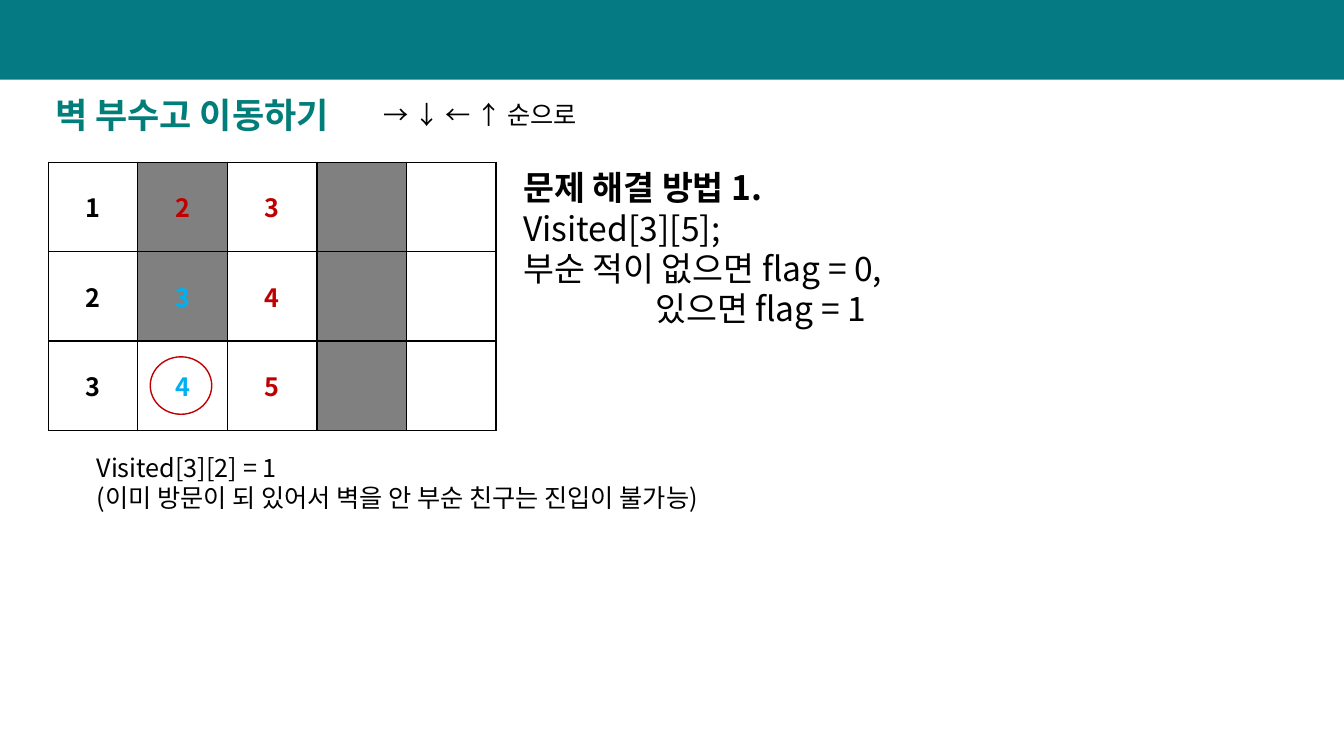
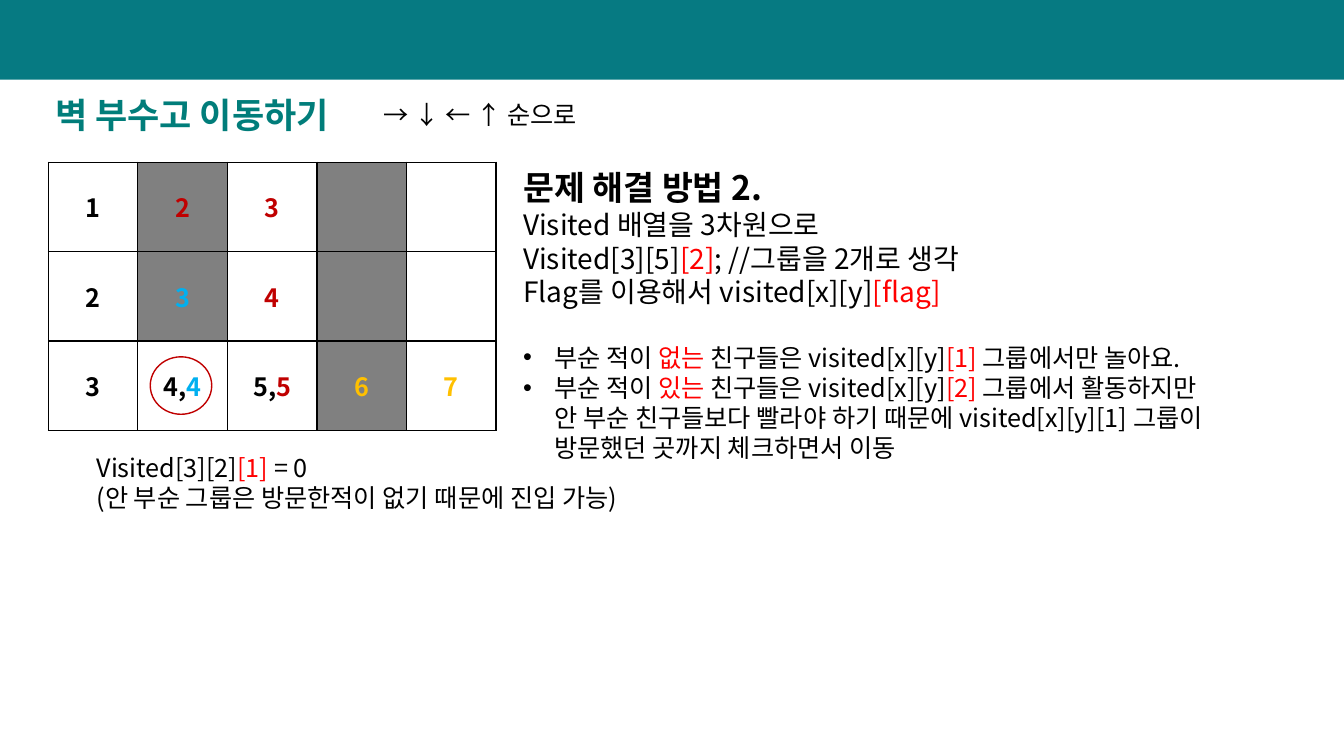
import pptx
import pptx.util
import pptx.dml.color
import pptx.enum.text
import pptx.enum.shapes
import pptx.oxml
import pptx.oxml.ns
import lxml.etree

Inches = pptx.util.Inches
Pt = pptx.util.Pt
SHAPES = pptx.enum.shapes.MSO_SHAPE
ALIGN = pptx.enum.text.PP_ALIGN
ANCHOR = pptx.enum.text.MSO_ANCHOR

FONT = "Noto Sans CJK KR"
COLORS = {
    "band": "067A82", "title": "017D7A", "black": "000000", "wall": "808080",
    "white": "FFFFFF", "broke": "C00000", "blue": "00B0F0", "gold": "FFC000",
    "red": "FF0000",
}

# A line is (runs, style); a run is a string or a (string, color) pair.
TITLE = "벽 부수고 이동하기"
ORDER = "→ ↓ ← ↑ 순으로"
WALLS = {(0, 1), (1, 1), (0, 3), (1, 3), (2, 3)}
GRID = [
    [["1"], [("2", "broke")], [("3", "broke")], [], []],
    [["2"], [("3", "blue")], [("4", "broke")], [], []],
]
HEAD = {"size": 24, "bold": True}
SLIDES = [
    {
        "last": [["3"], [("4", "blue")], [("5", "broke")], [], []],
        "width": 5.59,
        "method": [
            (["문제 해결 방법 1."], HEAD),
            (["Visited[3][5];"], {"size": 24}),
            (["부순 적이 없으면 flag = 0,"], {"size": 24}),
            (["있으면 flag = 1"], {"size": 24, "left": 1.31}),
        ],
        "note": [
            (["Visited[3][2] = 1"], {}),
            (["(이미 방문이 되 있어서 벽을 안 부순 친구는 진입이 불가능)"], {}),
        ],
    },
    {
        "last": [["3"], ["4,", ("4", "blue")], ["5,", ("5", "broke")],
                 [("6", "gold")], [("7", "gold")]],
        "width": 7.53,
        "method": [
            (["문제 해결 방법 2."], HEAD),
            (["Visited 배열을 3차원으로"], {"size": 20}),
            (["Visited[3][5]", ("[2]", "red"), "; //그룹을 2개로 생각"],
             {"size": 20}),
            (["Flag를 이용해서 visited[x][y]", ("[flag]", "red")],
             {"size": 20}),
            (["부순 적이 ", ("없는", "red"), " 친구들은 visited[x][y]",
              ("[1] ", "red"), "그룹에서만 놀아요."],
             {"left": 0.31, "bullet": True, "before": 24}),
            (["부순 적이 ", ("있는", "red"), " 친구들은 visited[x][y]",
              ("[2] ", "red"),
              "그룹에서 활동하지만\n안 부순 친구들보다 빨라야 하기 때문에 "
              "visited[x][y][1] 그룹이 방문했던 곳까지 체크하면서 이동"],
             {"left": 0.31, "bullet": True}),
        ],
        "note": [
            (["Visited[3][2]", ("[1]", "red"), " = 0"], {}),
            (["(안 부순 그룹은 방문한적이 없기 때문에 진입 가능)"], {}),
        ],
    },
]


def rgb(name):
    """Return the named color."""
    return pptx.dml.color.RGBColor.from_string(COLORS[name])


def add_tag(parent, tag, **attrs):
    """Append a drawing element to its parent."""
    return lxml.etree.SubElement(parent, pptx.oxml.ns.qn(tag), attrs)


def write(para, runs, size=18, bold=False, color="black", align=ALIGN.LEFT,
          left=0, bullet=False, before=0):
    """Fill one paragraph with runs and style it."""
    para.alignment = align
    para.space_before = Pt(before)
    props = para._p.get_or_add_pPr()
    if left:
        props.set("marL", str(Inches(left)))
        props.set("indent", str(-Inches(left) if bullet else 0))
    if bullet:
        add_tag(props, "a:buFont", typeface="Arial")
        add_tag(props, "a:buChar", char="•")
    font = para.font
    font.size, font.bold, font.name = Pt(size), bold, FONT
    font.color.rgb = rgb(color)
    add_tag(props.find(pptx.oxml.ns.qn("a:defRPr")), "a:ea", typeface=FONT)
    for item in runs:
        text, tint = (item, None) if isinstance(item, str) else item
        for i, part in enumerate(text.split("\n")):
            if i:
                para.add_line_break()
            run = para.add_run()
            run.text = part
            if tint:
                run.font.color.rgb = rgb(tint)


def add_text(slide, box, lines):
    """Add a text box with one paragraph per line."""
    frame = slide.shapes.add_textbox(*map(Inches, box)).text_frame
    frame.word_wrap = True
    for i, (runs, style) in enumerate(lines):
        para = frame.add_paragraph() if i else frame.paragraphs[0]
        write(para, runs, **style)


def add_shape(slide, kind, box, fill=None, line=None):
    """Add a preset shape with an optional fill and outline."""
    shape = slide.shapes.add_shape(kind, *map(Inches, box))
    shape.shadow.inherit = False
    if fill:
        shape.fill.solid()
        shape.fill.fore_color.rgb = rgb(fill)
    else:
        shape.fill.background()
    if line:
        shape.line.color.rgb = rgb(line)
        shape.line.width = Pt(1)
    else:
        shape.line.fill.background()


def add_frame(slide):
    """Add the band, title and order of moves that all slides share."""
    add_shape(slide, SHAPES.RECTANGLE, (0, 0, 13.33, 0.79), fill="band")
    title = slide.shapes.title
    title.left, title.top = Inches(0.45), Inches(0.88)
    title.width, title.height = Inches(6.77), Inches(0.52)
    frame = title.text_frame
    frame.auto_size = pptx.enum.text.MSO_AUTO_SIZE.NONE
    frame.vertical_anchor = ANCHOR.TOP
    write(frame.paragraphs[0], [TITLE], size=25, bold=True, color="title")
    add_text(slide, (3.71, 0.94, 5.2, 0.4), [([ORDER], {})])


def add_edges(cell):
    """Draw thin black borders around a cell."""
    props = cell._tc.get_or_add_tcPr()
    for side in "LRTB":
        edge = add_tag(props, "a:ln" + side, w=str(Pt(1)))
        add_tag(add_tag(edge, "a:solidFill"), "a:srgbClr",
                val=COLORS["black"])


def add_grid(slide, rows):
    """Add the maze table and ring the contested cell."""
    box = map(Inches, (0.48, 1.61, 4.44, 2.66))
    table = slide.shapes.add_table(len(rows), len(rows[0]), *box).table
    table.first_row = table.horz_banding = False
    for r, row in enumerate(rows):
        for c, runs in enumerate(row):
            cell = table.cell(r, c)
            add_edges(cell)
            cell.fill.solid()
            cell.fill.fore_color.rgb = rgb(
                "wall" if (r, c) in WALLS else "white")
            cell.vertical_anchor = ANCHOR.MIDDLE
            write(cell.text_frame.paragraphs[0], runs, bold=True,
                  align=ALIGN.CENTER)
    add_shape(slide, SHAPES.OVAL, (1.49, 3.54, 0.61, 0.57), line="broke")


def main():
    """Build and save the deck."""
    deck = pptx.Presentation()
    deck.slide_width, deck.slide_height = Inches(13.33), Inches(7.5)
    for page in SLIDES:
        slide = deck.slides.add_slide(deck.slide_layouts[5])
        add_frame(slide)
        add_grid(slide, GRID + [page["last"]])
        add_text(slide, (5.09, 1.61, page["width"], 1.72), page["method"])
        add_text(slide, (0.86, 4.44, 7.74, 0.71), page["note"])
    deck.save("out.pptx")


main()
